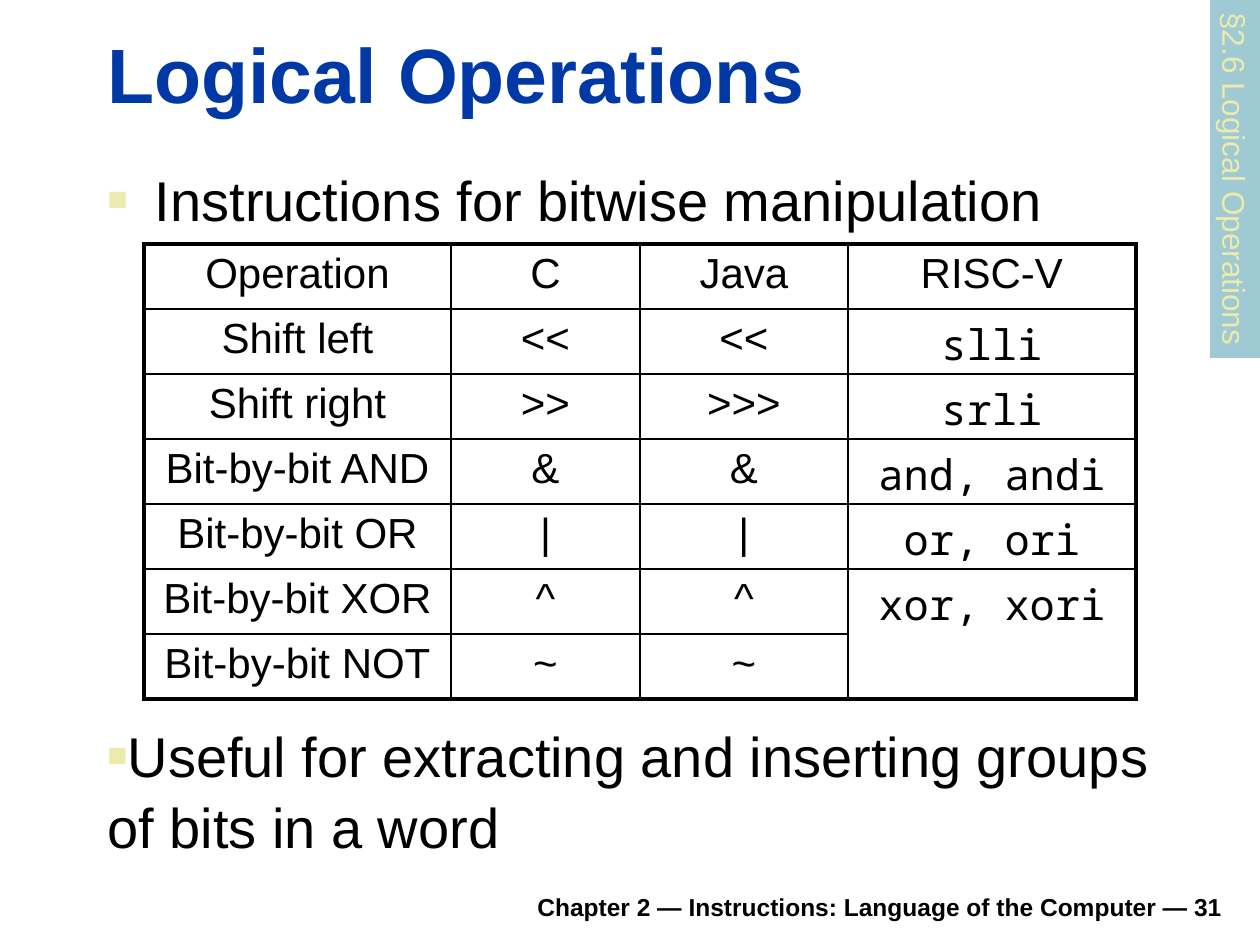
from lxml import etree
from pptx import Presentation
from pptx.dml.color import RGBColor
from pptx.enum.shapes import MSO_SHAPE
from pptx.enum.text import MSO_ANCHOR, MSO_AUTO_SIZE, PP_ALIGN
from pptx.oxml.ns import qn
from pptx.util import Pt

RECT = MSO_SHAPE.RECTANGLE
TOP, BOTTOM = MSO_ANCHOR.TOP, MSO_ANCHOR.BOTTOM
FIXED, GROW = MSO_AUTO_SIZE.NONE, MSO_AUTO_SIZE.SHAPE_TO_FIT_TEXT
LEFT, CENTER, RIGHT = PP_ALIGN.LEFT, PP_ALIGN.CENTER, PP_ALIGN.RIGHT

TITLE = "Logical Operations"
INTRO = "Instructions for bitwise manipulation"
USE = "Useful for extracting and inserting groups of bits in a word"
LABEL = "§2.6 Logical Operations"
FOOTER = "Chapter 2 — Instructions: Language of the Computer — 31"
ROWS = [
    ("Operation", "C", "Java", "RISC-V"),
    ("Shift left", "<<", "<<", "slli"),
    ("Shift right", ">>", ">>>", "srli"),
    ("Bit-by-bit AND", "&", "&", "and, andi"),
    ("Bit-by-bit OR", "|", "|", "or, ori"),
    ("Bit-by-bit XOR", "^", "^", "xor, xori"),
    ("Bit-by-bit NOT", "~", "~", ""),
]
COLS = (307, 189, 208, 288)
ROW = 65
SCALE = 914400 // 126
BOX = {
    "title": (95, 20, 1138, 105),
    "intro": (95, 155, 1140, 96),
    "table": (144, 244, sum(COLS), ROW * len(ROWS)),
    "use": (95, 711, 1071, 129),
    "footer": (233, 879, 1002, 49),
    "label": (1056, 154, 358, 50),
}


class Theme:
    ink, blue, sand, teal = "000000", "0039A6", "ECEAAC", "9FCAD3"
    sans, mono = "Arial", "Noto Sans Mono"
    head, body, cell, label, foot = 44, 32, 24, 18, 14
    outer, rule, inner = 2.25, 1.5, 1


def px(*vals):
    return [val * SCALE for val in vals]


def apply(obj, **vals):
    for name, val in vals.items():
        setattr(obj, name, val)


def place(shape, name):
    apply(shape, **dict(zip(("left", "top", "width", "height"), px(*BOX[name]))))


def write(frame, text, size, color=Theme.ink, face=Theme.sans, bold=False, align=LEFT):
    para = frame.paragraphs[0]
    para.alignment = align
    run = para.add_run()
    run.text = text
    apply(run.font, size=Pt(size), name=face, bold=bold)
    run.font.color.rgb = RGBColor.from_string(color)
    return para


def node(root, tag, **attrs):
    return etree.SubElement(root, qn(f"a:{tag}"), attrs)


def space(para):
    prop = para._p.get_or_add_pPr()
    node(node(prop, "spcBef"), "spcPct", val="20000")
    return prop


def bullet(shape, text):
    frame = shape.text_frame
    apply(frame, word_wrap=True, auto_size=FIXED, vertical_anchor=TOP)
    para = write(frame, text, Theme.body)
    para.line_spacing = 1.06
    prop = space(para)
    indent = 48 * SCALE
    apply(prop, marL=indent, indent=-indent)
    node(node(prop, "buClr"), "srgbClr", val=Theme.sand)
    node(prop, "buSzPct", val="60000")
    node(prop, "buFont", typeface=Theme.sans)
    node(prop, "buChar", char="■")


def border(cell, widths):
    prop = cell._tc.get_or_add_tcPr()
    for side, width in zip("LRTB", widths):
        line = node(prop, f"ln{side}", w=str(Pt(width)))
        node(node(line, "solidFill"), "srgbClr", val=Theme.ink)


def edge(spot, last, head=False):
    if spot in (0, last):
        return Theme.outer
    return Theme.rule if head and spot == 1 else Theme.inner


def grid(slide):
    high, wide = len(ROWS), len(COLS)
    table = slide.shapes.add_table(high, wide, *px(*BOX["table"])).table
    apply(table, first_row=False, horz_banding=False)
    for col, width in zip(table.columns, COLS):
        col.width = width * SCALE
    for row in table.rows:
        row.height = ROW * SCALE
    table.cell(high - 2, wide - 1).merge(table.cell(high - 1, wide - 1))
    for r, row in enumerate(ROWS):
        for c, text in enumerate(row):
            cell = table.cell(r, c)
            end = r + (cell.span_height if cell.is_merge_origin else 1)
            border(cell, (edge(c, wide), edge(c + 1, wide),
                          edge(r, high, True), edge(end, high, True)))
            cell.fill.background()
            if text:
                face = Theme.mono if r and c == wide - 1 else Theme.sans
                space(write(cell.text_frame, text, Theme.cell, face=face, align=CENTER))


def main():
    deck = Presentation()
    apply(deck, slide_width=1260 * SCALE, slide_height=945 * SCALE)
    slide = deck.slides.add_slide(deck.slide_layouts[1])
    shapes = slide.shapes

    foot = shapes.add_textbox(*px(*BOX["footer"])).text_frame
    apply(foot, word_wrap=True, vertical_anchor=BOTTOM)
    write(foot, FOOTER, Theme.foot, bold=True, align=RIGHT)

    title, intro = shapes.title, slide.placeholders[1]
    place(title, "title")
    apply(title.text_frame, word_wrap=True, auto_size=GROW, vertical_anchor=BOTTOM)
    write(title.text_frame, TITLE, Theme.head, Theme.blue, bold=True)
    place(intro, "intro")
    bullet(intro, INTRO)
    grid(slide)
    bullet(shapes.add_textbox(*px(*BOX["use"])), USE)

    label = shapes.add_shape(RECT, *px(*BOX["label"]))
    label.rotation = 90
    label.shadow.inherit = False
    label.fill.solid()
    label.fill.fore_color.rgb = RGBColor.from_string(Theme.teal)
    label.line.fill.background()
    apply(label.text_frame, word_wrap=False, auto_size=GROW, vertical_anchor=TOP)
    write(label.text_frame, LABEL, Theme.label, Theme.sand)
    deck.save("out.pptx")


if __name__ == "__main__":
    main()
